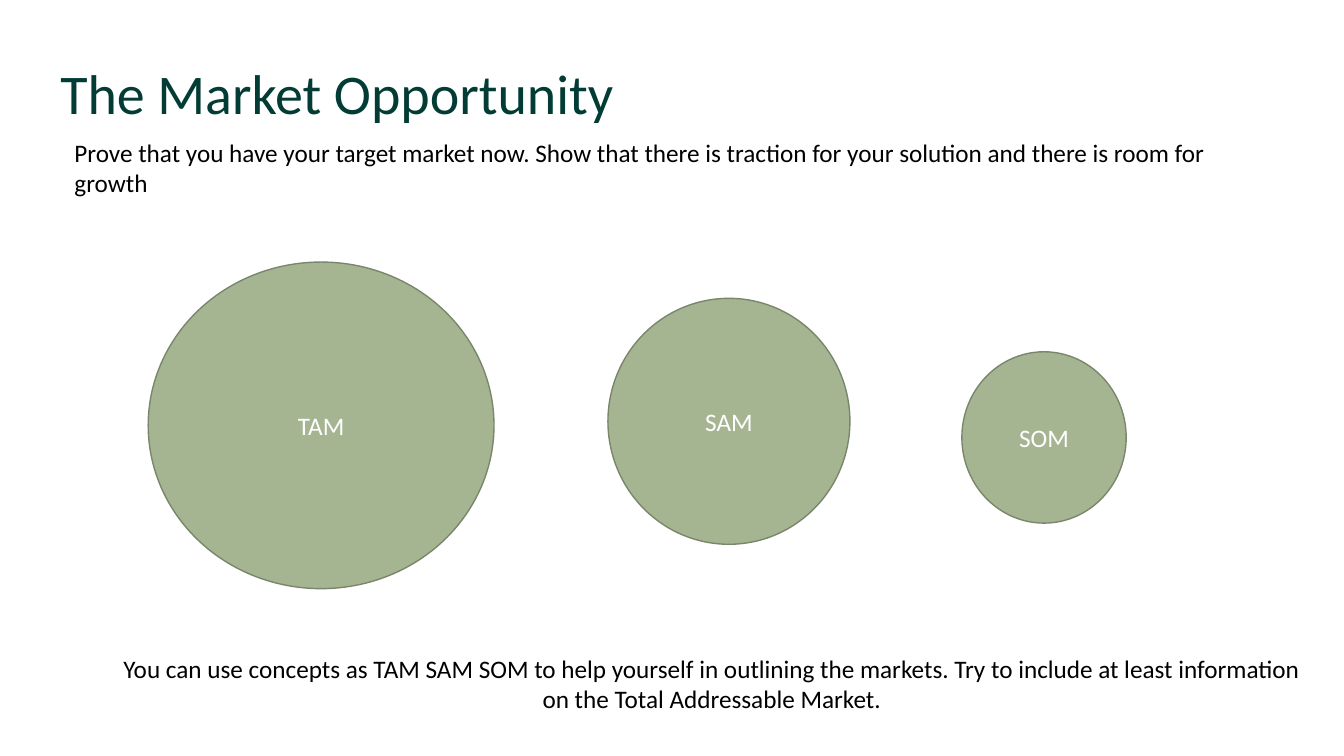
from dataclasses import dataclass

import pptx
import pptx.dml.color
import pptx.enum.shapes
import pptx.enum.text
import pptx.util

Inches = pptx.util.Inches
ALIGN = pptx.enum.text.PP_ALIGN
ANCHOR = pptx.enum.text.MSO_ANCHOR

DARK_GREEN, SAGE, SAGE_EDGE = "023C34", "A5B592", "7A866C"
BLACK, WHITE = "000000", "FFFFFF"


@dataclass
class Market:
    label: str
    left: float
    top: float
    width: float
    height: float


MARKETS = [
    Market("TAM", 1.47, 2.6, 3.43, 3.24),
    Market("SAM", 6.03, 2.96, 2.4, 2.44),
    Market("SOM", 9.54, 3.49, 1.63, 1.7),
]


def color(value: str) -> pptx.dml.color.RGBColor:
    return pptx.dml.color.RGBColor.from_string(value)


def write(shape, text: str, *, size: float = 18, ink: str = BLACK,
          align=ALIGN.LEFT, anchor=ANCHOR.TOP, spacing: float = 1.0) -> None:
    frame = shape.text_frame
    frame.word_wrap = True
    frame.vertical_anchor = anchor
    paragraph = frame.paragraphs[0]
    paragraph.alignment = align
    paragraph.line_spacing = spacing
    run = paragraph.add_run()
    run.text = text
    run.font.name = "Calibri"
    run.font.size = pptx.util.Pt(size)
    run.font.color.rgb = color(ink)


def add_text(slide, text: str, left: float, top: float, width: float,
             height: float, **text_format) -> None:
    box = slide.shapes.add_textbox(
        Inches(left), Inches(top), Inches(width), Inches(height))
    write(box, text, **text_format)


def add_market(slide, market: Market) -> None:
    circle = slide.shapes.add_shape(
        pptx.enum.shapes.MSO_SHAPE.OVAL, Inches(market.left),
        Inches(market.top), Inches(market.width), Inches(market.height))
    circle.shadow.inherit = False
    circle.fill.solid()
    circle.fill.fore_color.rgb = color(SAGE)
    circle.line.color.rgb = color(SAGE_EDGE)
    circle.line.width = pptx.util.Pt(1)
    write(circle, market.label, ink=WHITE, align=ALIGN.CENTER,
          anchor=ANCHOR.MIDDLE)


def main() -> None:
    deck = pptx.Presentation()
    deck.slide_width, deck.slide_height = Inches(13.33), Inches(7.5)
    slide = deck.slides.add_slide(deck.slide_layouts[6])

    # Title and lead
    add_text(slide, "The Market Opportunity", 0.5, 0.77, 7.56, 0.54,
             size=40, ink=DARK_GREEN, anchor=ANCHOR.BOTTOM, spacing=0.9)
    add_text(slide, "Prove that you have your target market now. Show that "
             "there is traction for your solution and there is room for "
             "growth ", 0.64, 1.31, 12.04, 0.71)

    # Market circles
    for market in MARKETS:
        add_market(slide, market)

    # Advice
    add_text(slide, "You can use concepts as TAM SAM SOM to help yourself in "
             "outlining the markets. Try to include at least information on "
             "the Total Addressable Market.", 1.04, 6.43, 12.04, 0.71,
             align=ALIGN.CENTER)

    deck.save("out.pptx")


if __name__ == "__main__":
    main()
